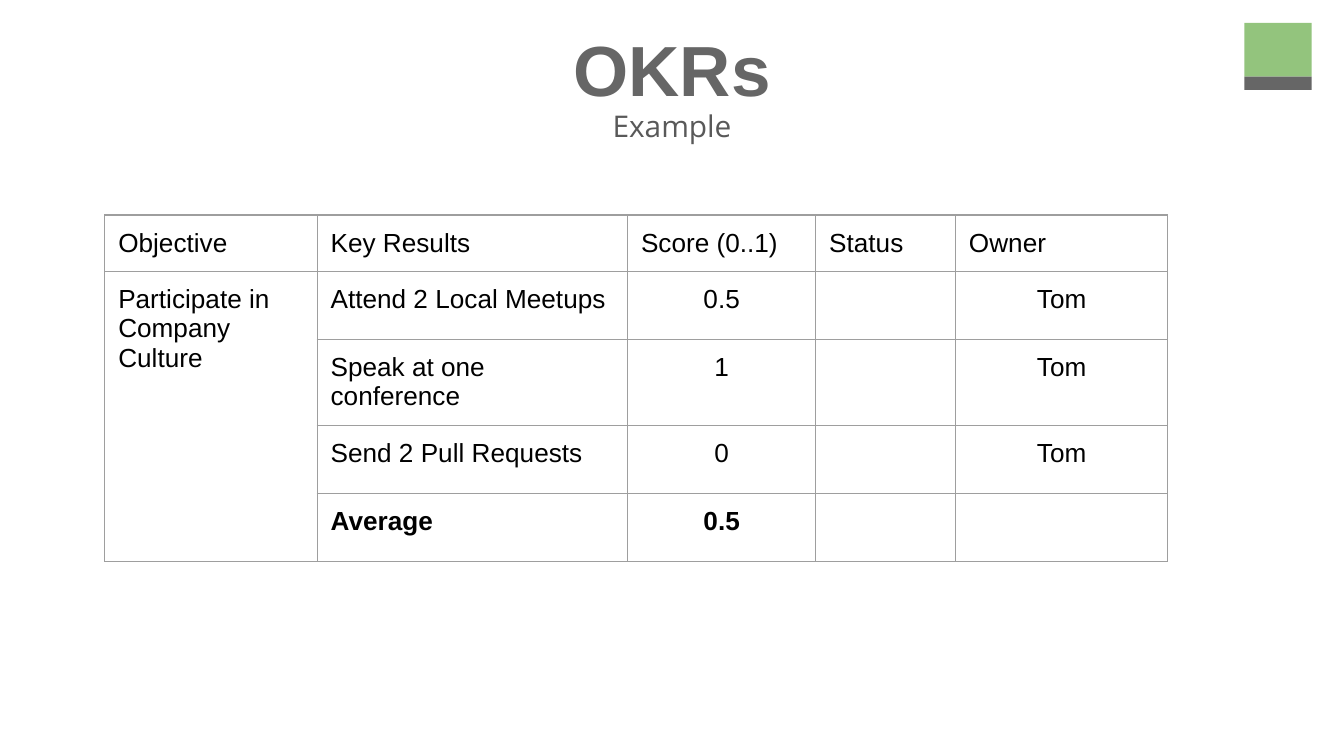
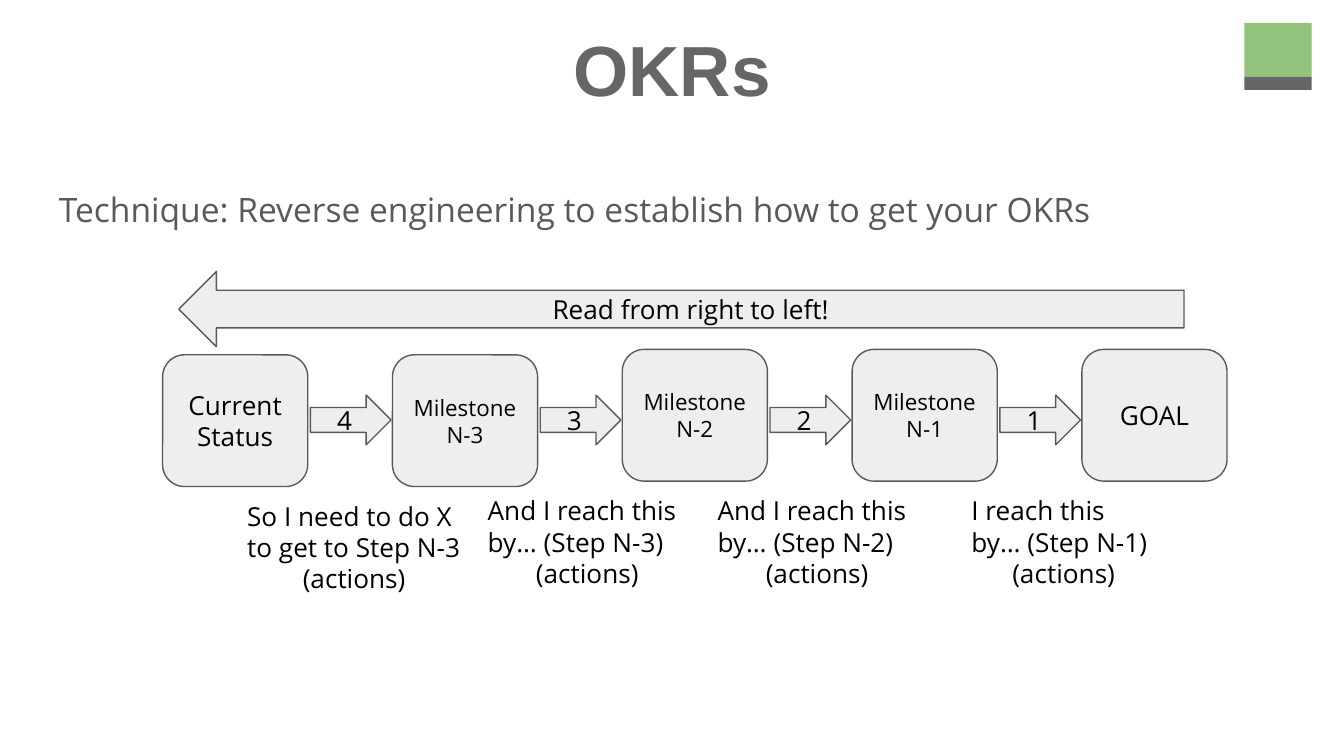
from pptx import Presentation
from pptx.dml.color import RGBColor
from pptx.enum.shapes import MSO_SHAPE as Shape
from pptx.enum.text import MSO_ANCHOR as Anchor, MSO_AUTO_SIZE as Fit, PP_ALIGN as Align
from pptx.oxml import parse_xml
from pptx.oxml.ns import nsdecls
from pptx.util import Inches, Pt

GREEN = RGBColor(0x93, 0xC4, 0x7D)
SLATE = RGBColor(0x66, 0x66, 0x66)
GREY = RGBColor(0x59, 0x59, 0x59)
PALE = RGBColor(0xEE, 0xEE, 0xEE)
RULE = RGBColor(0x9E, 0x9E, 0x9E)
BLACK = RGBColor(0, 0, 0)
HEAD, BODY = "Arial", "Open Sans"

# Slide grid: square cells, 100 columns by 56.25 rows
CELL = Inches(0.1)
COLS, ROWS = 100, 56.25

STEP = 17.1  # columns from one stage to the next
STAGE_X, STAGE_W, STAGE_H = 12.1, 10.8, 9.8
STAGES = [  # text, size, row
    ("Current\nStatus", 14, 26.4),
    ("Milestone\nN-3", 12, 26.4),
    ("Milestone N-2", 12, 26),
    ("Milestone N-1", 12, 26),
    ("GOAL", 14, 26),
]
NOTES = [  # text, column, row, width
    ("So I need to do X to get to Step N-3", 17.4, 36.2, 17.9),
    ("And I reach this by… (Step N-3)", 35.3, 35.8, 16.8),
    ("And I reach this by… (Step N-2)", 52.4, 35.8, 16.8),
    ("I reach this by… (Step N-1)", 71.3, 35.8, 15.7),
]
WIDTHS = [15.8, 23.1, 14, 10.4, 15.8]
HEIGHTS = [4.2, 4.8, 6.4, 4.8, 4.8]
SCORES = [
    ["Objective", "Key Results", "Score (0..1)", "Status", "Owner"],
    ["Participate in Company Culture", "Attend 2 Local Meetups", "0.5", "", "Tom"],
    ["", "Speak at one conference", "1", "", "Tom"],
    ["", "Send 2 Pull Requests", "0", "", "Tom"],
    ["", "Average", "0.5", "", ""],
]


def grid(*cells):
    return [round(n * CELL) for n in cells]


def pad(item):
    """Give a text frame or table cell the same margin on each side."""
    item.margin_left = item.margin_right = CELL
    item.margin_top = item.margin_bottom = CELL


def style(frame, size, color=BLACK, face=BODY, bold=False, align=None):
    for para in frame.paragraphs:
        para.alignment = align
        for run in para.runs:
            font = run.font
            font.name, font.size, font.bold = face, Pt(size), bold
            font.color.rgb = color


def write(frame, text, size, anchor=Anchor.TOP, **look):
    frame.text = text
    frame.word_wrap = True
    frame.auto_size = Fit.NONE
    frame.vertical_anchor = anchor
    pad(frame)
    style(frame, size, **look)


def add_text(slide, text, box, size, **look):
    frame = slide.shapes.add_textbox(*grid(*box)).text_frame
    write(frame, text, size, **look)
    return frame


def add_lead(slide, text, box, size, align):
    frame = add_text(slide, text, box, size, color=GREY, align=align)
    para = frame.paragraphs[0]
    para.line_spacing = 1.15
    para.space_after = Pt(16)


def add_box(slide, kind, box, fill, line=None):
    shape = slide.shapes.add_shape(kind, *grid(*box))
    shape.shadow.inherit = False
    shape.fill.solid()
    shape.fill.fore_color.rgb = fill
    if line is None:
        shape.line.fill.background()
    else:
        shape.line.color.rgb = line
        shape.line.width = Pt(0.75)
    return shape


def add_node(slide, kind, text, box, size=14):
    shape = add_box(slide, kind, box, PALE, GREY)
    write(shape.text_frame, text, size, Anchor.MIDDLE, align=Align.CENTER)


def add_slide(deck, layout):
    slide = deck.slides.add_slide(layout)
    title = slide.shapes.title
    title.left, title.top, title.width, title.height = grid(3.4, 0.4, 93.2, 6.3)
    write(title.text_frame, "OKRs", 38, color=SLATE, face=HEAD, bold=True,
          align=Align.CENTER)
    title.text_frame.margin_top = Inches(0.15)
    return slide


def add_mark(slide, layout):
    """Put the corner mark on the layout, so that each slide shows it."""
    for holder in list(layout.placeholders)[1:]:
        layout.shapes.element.remove(holder.element)
    parts = [add_box(slide, Shape.RECTANGLE, (92.6, 1.7, 5, 4), GREEN),
             add_box(slide, Shape.RECTANGLE, (92.6, 5.7, 5, 1), SLATE)]
    for part in parts:
        layout.shapes.element.append(part.element)


def add_rules(cell):
    """Draw the four borders of a table cell."""
    props = cell._tc.get_or_add_tcPr()
    for side in "LRTB":
        props.append(parse_xml(
            f'<a:ln{side} {nsdecls("a")} w="{Pt(0.75)}"><a:solidFill>'
            f'<a:srgbClr val="{RULE}"/></a:solidFill></a:ln{side}>'))


def add_scores(slide):
    box = grid(7.8, 16, sum(WIDTHS), sum(HEIGHTS))
    table = slide.shapes.add_table(len(SCORES), len(WIDTHS), *box).table
    table.first_row = table.horz_banding = False
    for col, width in zip(table.columns, grid(*WIDTHS)):
        col.width = width
    for row, height in zip(table.rows, grid(*HEIGHTS)):
        row.height = height
    last = len(SCORES) - 1
    for r, line in enumerate(SCORES):
        for c, text in enumerate(line):
            cell = table.cell(r, c)
            cell.text = text
            pad(cell)
            add_rules(cell)
            cell.fill.background()
            style(cell.text_frame, 14, face=HEAD, bold=r == last,
                  align=Align.CENTER if r and c > 1 else None)
    table.cell(1, 0).merge(table.cell(last, 0))


def add_path(slide):
    """Draw the stages, the numbered arrows between them and the notes below."""
    for i, (text, size, row) in enumerate(STAGES):
        add_node(slide, Shape.FLOWCHART_ALTERNATE_PROCESS, text,
                 (STAGE_X + i * STEP, row, STAGE_W, STAGE_H), size)
    for i, (text, col, row, width) in enumerate(NOTES):
        add_node(slide, Shape.RIGHT_ARROW, str(len(NOTES) - i),
                 (STAGE_X + STAGE_W + 0.2 + i * STEP, 29.4, 6, 3.7))
        frame = add_text(slide, f"{text}\n(actions)", (col, row, width, 5.6), 14)
        frame.paragraphs[1].alignment = Align.CENTER
    add_node(slide, Shape.LEFT_ARROW, "Read from right to left!",
             (13.3, 20.2, 74.8, 5.6))


def main():
    deck = Presentation()
    deck.slide_width, deck.slide_height = grid(COLS, ROWS)
    layout = deck.slide_layouts[5]

    table = add_slide(deck, layout)
    add_mark(table, layout)
    add_lead(table, "Example", (24.6, 6.6, 50.8, 2.7), 16, Align.CENTER)
    add_scores(table)

    path = add_slide(deck, layout)
    add_lead(path, "Technique: Reverse engineering to establish how to get your OKRs",
             (3.4, 12.6, 93.2, 37.4), 18, Align.LEFT)
    add_path(path)

    deck.save("out.pptx")


if __name__ == "__main__":
    main()
